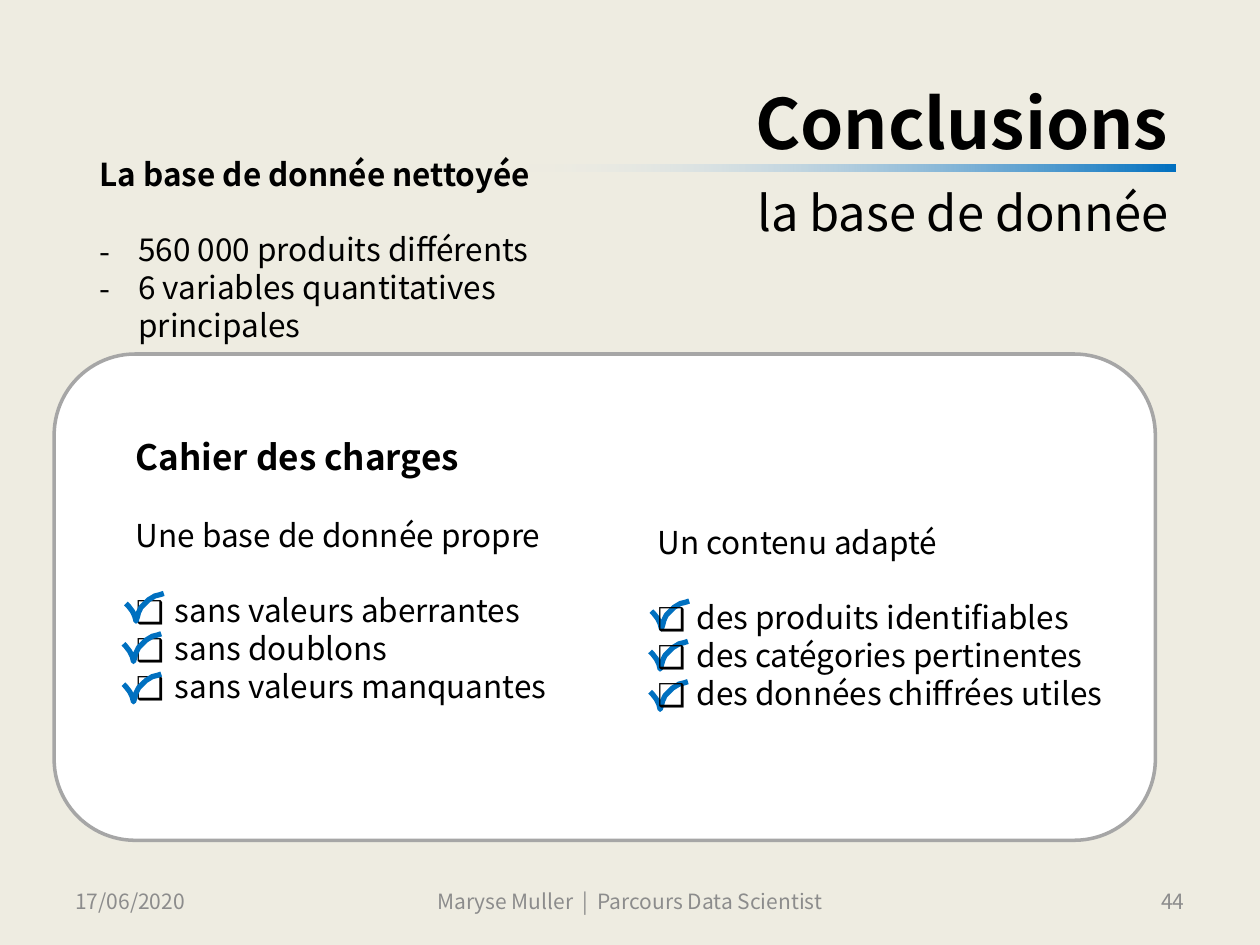
import pptx
import pptx.util
import pptx.dml.color
import pptx.enum.shapes
import pptx.enum.text
import pptx.oxml.ns
from lxml import etree

Inches, Pt = pptx.util.Inches, pptx.util.Pt
ALIGN = pptx.enum.text.PP_ALIGN
ANCHOR = pptx.enum.text.MSO_ANCHOR
SHAPES = pptx.enum.shapes.MSO_SHAPE
FONT = "Noto Sans CJK JP"
BLUE, BLACK, GREY = "0070C0", "000000", "8C8C8C"
GAP = 21.6  # one 18 pt line, in points

# Content: (text, font values, bullet, space before in points)
BODY, BOLD = {"size": 18}, {"size": 18, "bold": True}
TITLE = [
    ("Conclusions", {"size": 39.6, "bold": True}, None, 0),
    ("la base de donnée", {"size": 27.9}, None, 10.8),
]


def bullet_list(items, bullet):
    return [(item, BODY, bullet, 0 if index else GAP)
            for index, item in enumerate(items)]


DATABASE = [("La base de donnée nettoyée", BOLD, None, 0)] + bullet_list(
    ["560 000 produits différents", "6 variables quantitatives principales"], "-")
CLEAN = [
    ("Cahier des charges", {"size": 20, "bold": True}, None, 0),
    ("Une base de donnée propre", BODY, None, GAP),
] + bullet_list(["sans valeurs aberrantes", "sans doublons", "sans valeurs manquantes"], "❑")
ADAPTED = [("Un contenu adapté", BODY, None, 0)] + bullet_list(
    ["des produits identifiables", "des catégories pertinentes",
     "des données chiffrées utiles"], "❑")
FOOTERS = [
    ("17/06/2020", 0.5, 2.33, ALIGN.LEFT),
    ("Maryse Muller  |  Parcours Data Scientist", 3.15, 3.7, ALIGN.CENTER),
    ("44", 7.17, 2.33, ALIGN.RIGHT),
]

# Tick outline, in inches from its top left corner, and tick columns
TICK = [(0, 0.08), (0.02, 0.1), (0.05, 0.14), (0.07, 0.18), (0.08, 0.22),
        (0.09, 0.19), (0.1, 0.15), (0.12, 0.11), (0.15, 0.08), (0.18, 0.05),
        (0.23, 0.02), (0.27, 0.01), (0.3, 0)]
TICK_COLUMNS = [(1, 0.98, 4.71), (5.17, 5.16, 4.77)]  # first left, other lefts, top
TICK_STEP = 0.32


def color(value):
    return pptx.dml.color.RGBColor.from_string(value)


def add_bullet(paragraph, character):
    properties = paragraph._p.get_or_add_pPr()
    properties.set("marL", str(Inches(0.31)))
    properties.set("indent", str(-Inches(0.31)))
    etree.SubElement(properties, pptx.oxml.ns.qn("a:buFont")).set("typeface", FONT)
    etree.SubElement(properties, pptx.oxml.ns.qn("a:buChar")).set("char", character)


def add_text(slide, box, content, align=ALIGN.LEFT, anchor=ANCHOR.TOP, ink=BLACK):
    frame = slide.shapes.add_textbox(*map(Inches, box)).text_frame
    frame.word_wrap = True
    frame.vertical_anchor = anchor
    for index, (text, values, bullet, before) in enumerate(content):
        paragraph = frame.add_paragraph() if index else frame.paragraphs[0]
        paragraph.alignment = align
        if before:
            paragraph.space_before = Pt(before)
        if bullet:
            add_bullet(paragraph, bullet)
        run = paragraph.add_run()
        run.text = text
        run.font.color.rgb = color(ink)
        for name, value in {"name": FONT, **values}.items():
            setattr(run.font, name, Pt(value) if name == "size" else value)


def add_tick(slide, left, top):
    points = [(Inches(left + x), Inches(top + y)) for x, y in TICK]
    builder = slide.shapes.build_freeform(*points[0])
    builder.add_line_segments(points[1:], close=False)
    tick = builder.convert_to_shape()
    tick.shadow.inherit = False
    tick.fill.background()
    tick.line.color.rgb = color(BLUE)
    tick.line.width = Pt(3)


def add_title_bar(slide):
    bar = slide.shapes.add_shape(
        SHAPES.RECTANGLE, *map(Inches, (4.18, 1.31, 5.15, 0.05)))
    bar.shadow.inherit = False
    bar.line.fill.background()
    bar.fill.gradient()
    bar.fill.gradient_angle = 180
    for stop, value in zip(bar.fill.gradient_stops, (BLUE, "E1E8F5")):
        stop.color.rgb = color(value)
    # The far end fades out completely
    end = bar._element.spPr.findall(".//" + pptx.oxml.ns.qn("a:srgbClr"))[-1]
    etree.SubElement(end, pptx.oxml.ns.qn("a:alpha")).set("val", "0")


def add_panel(slide):
    panel = slide.shapes.add_shape(
        SHAPES.ROUNDED_RECTANGLE, *map(Inches, (0.43, 2.81, 8.74, 3.86)))
    panel.shadow.inherit = False
    panel.fill.solid()
    panel.fill.fore_color.rgb = color("FFFFFF")
    panel.line.color.rgb = color("A6A6A6")
    panel.line.width = Pt(2)


def main():
    presentation = pptx.Presentation()
    presentation.slide_width, presentation.slide_height = Inches(10), Inches(7.5)
    slide = presentation.slides.add_slide(presentation.slide_layouts[6])
    slide.background.fill.solid()
    slide.background.fill.fore_color.rgb = color("EEECE1")

    # Title and footer
    add_text(slide, (1.18, 0.69, 8.19, 1.17), TITLE, ALIGN.RIGHT, ANCHOR.MIDDLE)
    for text, left, width, align in FOOTERS:
        add_text(slide, (left, 6.95, width, 0.4), [(text, {"size": 12}, None, 0)],
                 align, ANCHOR.MIDDLE, GREY)
    add_title_bar(slide)

    # Cleaned database, then the requirements panel
    add_text(slide, (0.69, 1.18, 4.57, 1.31), DATABASE)
    add_panel(slide)
    add_text(slide, (0.98, 3.41, 3.86, 2.86), CLEAN)
    for first_left, other_left, top in TICK_COLUMNS:
        for row, left in enumerate((first_left, other_left, other_left)):
            add_tick(slide, left, top + row * TICK_STEP)
    add_text(slide, (5.12, 4.1, 5, 1.62), ADAPTED)

    presentation.save("out.pptx")


if __name__ == "__main__":
    main()
